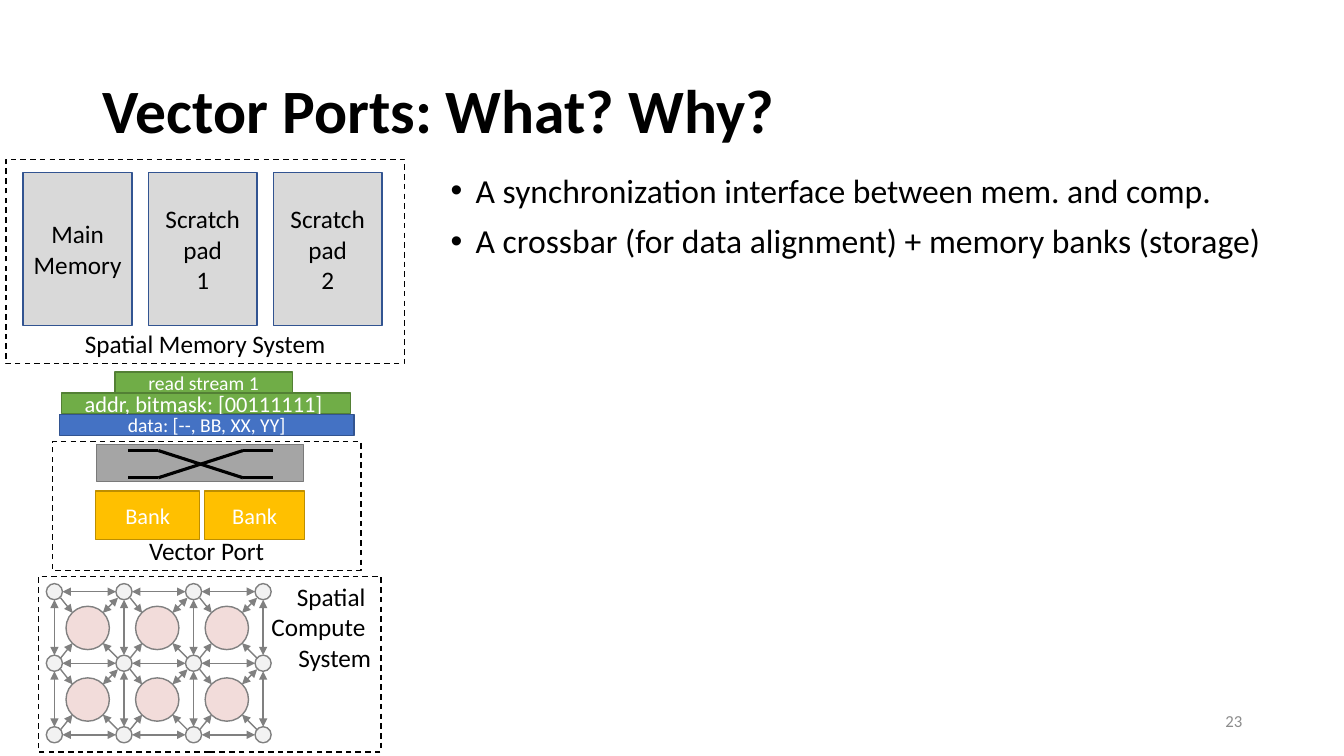
from dataclasses import dataclass
from itertools import product

from lxml import etree
from pptx import Presentation
from pptx.dml.color import RGBColor
from pptx.enum import dml, shapes, text as text_enum
from pptx.oxml import ns
from pptx.util import Inches, Pt

ALIGN = text_enum.PP_ALIGN
ANCHOR = text_enum.MSO_ANCHOR
SHAPE = shapes.MSO_SHAPE


@dataclass(frozen=True)
class Theme:
    font: str = "Calibri"
    black: str = "000000"
    white: str = "FFFFFF"
    muted: str = "8C8C8C"
    memory: str = "D9D9D9"
    blue: str = "4472C4"
    blue_line: str = "325491"
    green: str = "70AD47"
    green_line: str = "538035"
    bank: str = "FFC000"
    bank_line: str = "BD8E00"
    crossbar: str = "A5A5A5"
    crossbar_line: str = "7A7A7A"
    switch: str = "F2F2F2"
    unit: str = "F2DCDA"
    mesh_line: str = "808080"
    title_size: int = 44
    body_size: int = 24
    label_size: int = 18
    bank_size: int = 16
    stream_size: int = 14
    number_size: int = 12


THEME = Theme()


def color(value):
    return RGBColor.from_string(value)


def write(shape, lines, size=THEME.label_size, ink=THEME.black, bold=False,
          align=ALIGN.CENTER, anchor=ANCHOR.MIDDLE, bullet=False,
          line_spacing=None, space_before=0):
    """Fill a shape with one paragraph per line."""
    frame = shape.text_frame
    frame.word_wrap = True
    frame.vertical_anchor = anchor
    for index, line in enumerate(lines):
        paragraph = frame.add_paragraph() if index else frame.paragraphs[0]
        if bullet:
            properties = paragraph._p.get_or_add_pPr()
            properties.set("marL", str(Inches(0.25)))
            properties.set("indent", str(Inches(-0.25)))
            etree.SubElement(properties, ns.qn("a:buFont"), typeface="Arial")
            etree.SubElement(properties, ns.qn("a:buChar"), char="•")
        paragraph.alignment = align
        if line_spacing:
            paragraph.line_spacing = line_spacing
        if index and space_before:
            paragraph.space_before = Pt(space_before)
        run = paragraph.add_run()
        run.text = line
        run.font.name = THEME.font
        run.font.size = Pt(size)
        run.font.bold = bold
        run.font.color.rgb = color(ink)


def add_text(slide, box, lines, **style):
    write(slide.shapes.add_textbox(*map(Inches, box)), lines, **style)


def add_box(slide, box, fill, line, lines=(), kind=SHAPE.RECTANGLE, **style):
    shape = slide.shapes.add_shape(kind, *map(Inches, box))
    shape.shadow.inherit = False
    if fill:
        shape.fill.solid()
        shape.fill.fore_color.rgb = color(fill)
    else:
        shape.fill.background()
    shape.line.color.rgb = color(line)
    shape.line.width = Pt(1)
    write(shape, lines, **style)
    return shape


def add_frame(slide, box, lines, **style):
    frame = add_box(slide, box, None, THEME.black, lines, **style)
    frame.line.dash_style = dml.MSO_LINE.DASH


def add_circle(slide, x, y, size, fill):
    box = (x - size / 2, y - size / 2, size, size)
    add_box(slide, box, fill, THEME.mesh_line, kind=SHAPE.OVAL)


def add_line(slide, start, end, ink=THEME.mesh_line, width=1, arrows=()):
    connector = slide.shapes.add_connector(
        shapes.MSO_CONNECTOR.STRAIGHT, *map(Inches, (*start, *end)))
    connector.line.color.rgb = color(ink)
    connector.line.width = Pt(width)
    outline = connector.line._get_or_add_ln()
    for arrow in arrows:
        etree.SubElement(outline, ns.qn(f"a:{arrow}"), type="triangle")
    etree.SubElement(connector._element.spPr, ns.qn("a:effectLst"))


def add_memory_system(slide):
    blocks = [["Main", "Memory"], ["Scratch", "pad", "1"],
              ["Scratch", "pad", "2"]]
    for index, lines in enumerate(blocks):
        add_box(slide, (0.23 + 1.24 * index, 1.71, 1.08, 1.52),
                THEME.memory, THEME.blue_line, lines)
    add_frame(slide, (0.06, 1.58, 3.95, 2.03), ["Spatial Memory System"],
              anchor=ANCHOR.BOTTOM)


def add_streams(slide):
    green = (THEME.green, THEME.green_line)
    blue = (THEME.blue, THEME.blue_line)
    for box, colors, label, size in [
        ((1.14, 3.69, 1.76, 0.21), green, "read stream 1", THEME.stream_size),
        ((0.61, 3.9, 2.87, 0.2), green, "addr, bitmask: [00111111] ",
         THEME.bank_size),
        ((0.59, 4.11, 2.92, 0.21), blue, "data: [--, BB, XX, YY]",
         THEME.stream_size),
    ]:
        add_box(slide, box, *colors, [label], size=size, ink=THEME.white)


def add_vector_port(slide):
    add_frame(slide, (0.52, 4.38, 3.06, 1.28), ["Vector Port"],
              anchor=ANCHOR.BOTTOM)
    for left, width in [(0.95, 1.03), (2.03, 0.99)]:
        add_box(slide, (left, 4.87, width, 0.48), THEME.bank, THEME.bank_line,
                ["Bank"], size=THEME.bank_size, ink=THEME.white)
    # Crossbar: straight leads on both sides, crossing in the middle
    add_box(slide, (0.96, 4.41, 2.05, 0.37), THEME.crossbar,
            THEME.crossbar_line)
    top, bottom = 4.47, 4.74
    for y, opposite in [(top, bottom), (bottom, top)]:
        for start, end in [((1.27, y), (1.57, y)), ((2.41, y), (2.71, y)),
                           ((1.57, y), (2.41, opposite))]:
            add_line(slide, start, end, THEME.black, 2.25)


def add_compute_system(slide):
    columns = [0.54 + 0.69 * index for index in range(4)]
    rows = [5.87 + 0.71 * index for index in range(3)]
    gap = 0.08
    both = ("headEnd", "tailEnd")
    # Links between neighbouring switches
    for left, right in zip(columns, columns[1:]):
        for y in rows:
            add_line(slide, (right - gap, y), (left + gap, y), arrows=both)
    for upper, lower in zip(rows, rows[1:]):
        for x in columns:
            add_line(slide, (x, lower - gap), (x, upper + gap), arrows=both)
    # Compute units, each tied to its four corner switches
    for column, row in product(columns[:-1], rows[:-1]):
        x, y = column + 0.33, row + 0.36
        add_circle(slide, x, y, 0.43, THEME.unit)
        for side, level in product((-1, 1), repeat=2):
            reach = 0.27 if side < 0 else 0.3
            arrows = both if (side, level) == (1, -1) else ("tailEnd",)
            add_line(slide, (x + side * reach, y + level * 0.3),
                     (x + side * 0.15, y + level * 0.15), arrows=arrows)
    for x, y in product(columns, rows):
        add_circle(slide, x, y, 0.16, THEME.switch)
    add_frame(slide, (0.38, 5.72, 3.4, 1.74),
              ["Spatial ", "Compute ", "System"],
              align=ALIGN.RIGHT, anchor=ANCHOR.TOP)


def main():
    presentation = Presentation()
    presentation.slide_width = Inches(13.33)
    presentation.slide_height = Inches(7.5)
    slide = presentation.slides.add_slide(presentation.slide_layouts[6])

    # Title, points and page number
    add_text(slide, (0.92, 0.4, 11.5, 1.45), ["Vector Ports: What? Why?"],
             size=THEME.title_size, bold=True, align=ALIGN.LEFT,
             line_spacing=0.9)
    add_text(slide, (4.37, 1.68, 8.7, 2.2),
             ["A synchronization interface between mem. and comp.",
              "A crossbar (for data alignment) + memory banks (storage)"],
             size=THEME.body_size, align=ALIGN.LEFT, anchor=ANCHOR.TOP,
             bullet=True, line_spacing=0.9, space_before=10)
    add_text(slide, (9.42, 6.95, 3, 0.4), ["23"], size=THEME.number_size,
             ink=THEME.muted, align=ALIGN.RIGHT)

    # Diagram from memory down to compute
    add_memory_system(slide)
    add_streams(slide)
    add_vector_port(slide)
    add_compute_system(slide)
    presentation.save("out.pptx")


if __name__ == "__main__":
    main()
